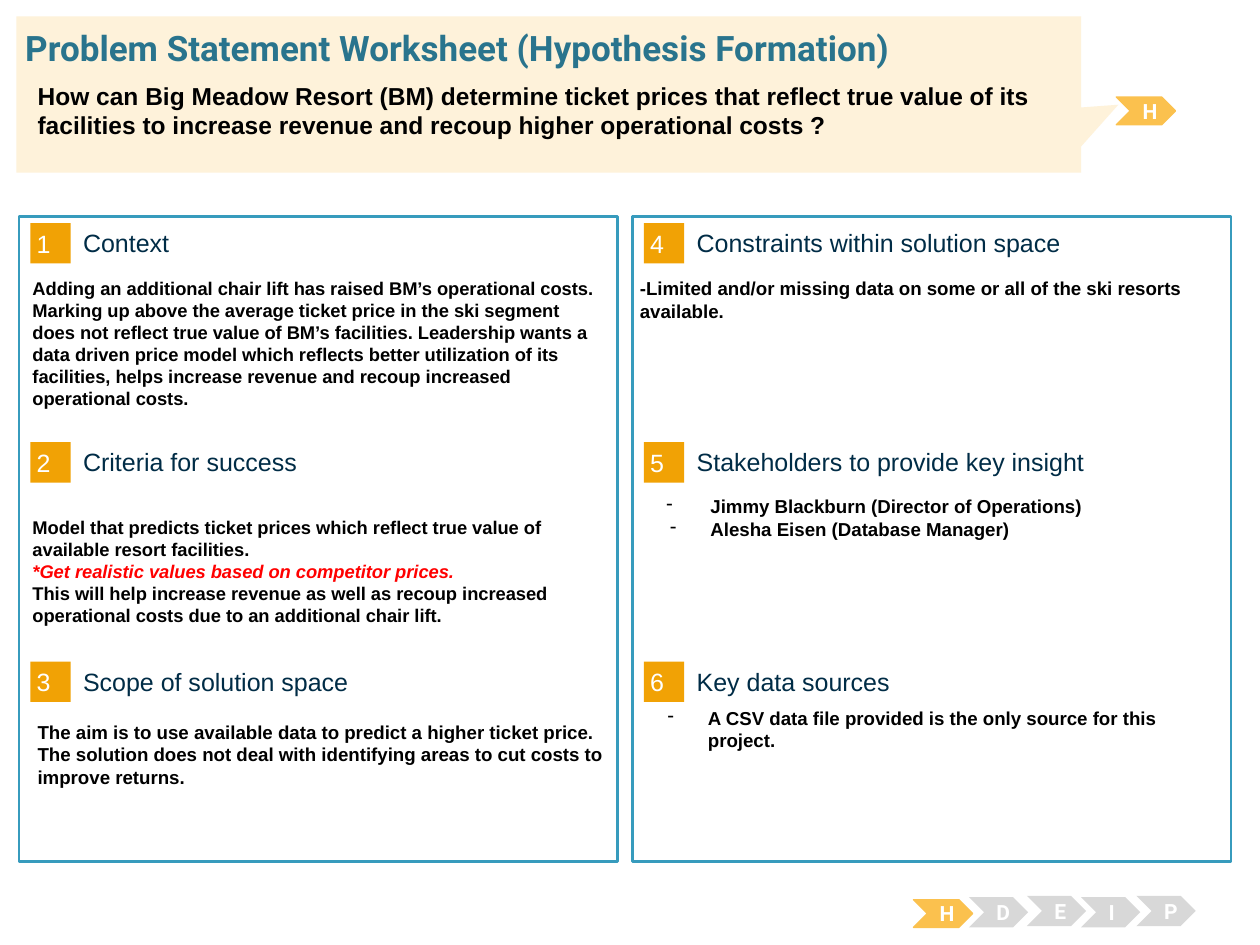
from lxml import etree
from pptx import Presentation
from pptx.dml.color import RGBColor
from pptx.enum import shapes as sh, text as tx
from pptx.oxml import ns
from pptx.util import Inches, Pt

# Content
TITLE = "Problem Statement Worksheet (Hypothesis Formation)"
QUESTION = [
    "How can Big Meadow Resort (BM) determine ticket prices that reflect true value of its",
    "facilities to increase revenue and recoup higher operational costs ?",
]
HEADS = [
    ["Context", "Criteria for success", "Scope of solution space"],
    ["Constraints within solution space", "Stakeholders to provide key insight",
     "Key data sources"],
]
ALERT = "*Get realistic values based on competitor prices."
# Each note: left, top, height, size name, hanging indents (if bulleted), paragraphs
NOTES = [
    (0.16, 2.15, 1.36, "note", [], [
        "Adding an additional chair lift has raised BM’s operational costs. Marking up above "
        "the average ticket price in the ski segment does not reflect true value of BM’s "
        "facilities. Leadership wants a data driven price model which reflects better "
        "utilization of its facilities, helps increase revenue and recoup increased "
        "operational costs."]),
    (0.16, 4.05, 1.36, "note", [], [
        "Model that predicts ticket prices which reflect true value of available resort "
        "facilities.",
        ALERT,
        "This will help increase revenue as well as recoup increased operational costs due "
        "to an additional chair lift."]),
    (0.2, 5.67, 0.82, "body", [], [
        "The aim is to use available data to predict a higher ticket price. The solution does "
        "not deal with identifying areas to cut costs to improve returns."]),
    (4.98, 2.15, 1.18, "body", [], [
        "-Limited and/or missing data on some or all of the ski resorts available."]),
    (5.04, 3.88, 1.18, "body", [0.35, 0.32], [
        "Jimmy Blackburn (Director of Operations)", "Alesha Eisen (Database Manager)"]),
    (5.02, 5.56, 1.18, "body", [0.32], [
        "A CSV data file provided is the only source for this project."]),
]
# Each step: letter, left, top, active
STEPS = [("H", 7.25, 7.14, True), ("D", 7.69, 7.12, False), ("E", 8.15, 7.11, False),
         ("I", 8.58, 7.12, False), ("P", 9.02, 7.11, False), ("H", 8.86, 0.77, True)]

THEME = {
    "color": {"white": "FFFFFF", "black": "000000", "edge": "379BBD", "badge": "F1A205",
              "head": "002C46", "alert": "FF0000", "on": "FBC14E", "off": "D8D8D8",
              "call": "FEF2DA", "title": "29748D"},
    "size": {"title": 20, "ask": 14, "head": 14.3, "step": 12, "body": 10.7, "note": 10.5},
    "font": {"main": "Arial", "show": "Roboto"},
}
PAD = (0.1, 0.05, 0.1, 0.05)


def color(name):
    return RGBColor.from_string(THEME["color"][name])


def write(shape, lines, size, tint="black", font="main", bold=False, pad=PAD,
          anchor=tx.MSO_ANCHOR.TOP, align=tx.PP_ALIGN.LEFT):
    frame = shape.text_frame
    frame.text = "\n".join(lines)
    frame.word_wrap = True
    frame.auto_size = tx.MSO_AUTO_SIZE.NONE
    frame.vertical_anchor = anchor
    (frame.margin_left, frame.margin_top,
     frame.margin_right, frame.margin_bottom) = map(Inches, pad)
    for para in frame.paragraphs:
        para.alignment = align
        para.font.name = THEME["font"][font]
        para.font.size = Pt(THEME["size"][size])
        para.font.bold = bold
        para.font.color.rgb = color(tint)
    return frame.paragraphs


def draw(kind, box, fill, line=None, width=0.75):
    shape = slide.shapes.add_shape(kind, *map(Inches, box))
    shape.shadow.inherit = False
    shape.fill.solid()
    shape.fill.fore_color.rgb = color(fill)
    if line:
        shape.line.color.rgb = color(line)
        shape.line.width = Pt(width)
    else:
        shape.line.fill.background()
    return shape


def label(box, *args, **opts):
    return write(slide.shapes.add_textbox(*map(Inches, box)), *args, **opts)


def dash(para, hang):
    props = para._p.get_or_add_pPr()
    props.set("marL", str(Inches(0.5)))
    props.set("indent", str(-Inches(hang)))
    tint = etree.SubElement(props, ns.qn("a:buClr"))
    etree.SubElement(tint, ns.qn("a:srgbClr"), val=THEME["color"]["black"])
    etree.SubElement(props, ns.qn("a:buChar"), char="-")


deck = Presentation()
deck.slide_width, deck.slide_height = Inches(10), Inches(7.5)
slide = deck.slides.add_slide(deck.slide_layouts[5])
RECT = sh.MSO_SHAPE.RECTANGLE
MID = tx.MSO_ANCHOR.MIDDLE

# Panels with numbered headings
for col, heads in enumerate(HEADS):
    left = 0.15 + col * 4.87
    draw(RECT, (left, 1.72, 4.75, 5.12), "white", "edge", 1.5)
    for row, head in enumerate(heads):
        top = 1.77 + row * 1.74
        badge = draw(RECT, (left + 0.09, top, 0.32, 0.32), "badge")
        write(badge, [str(col * 3 + row + 1)], "head", "white", pad=(0.05,) * 4, anchor=MID)
        label((left + 0.51, top + 0.03, 3.93, 0.25), [head], "head", "head",
              pad=(0,) * 4, anchor=MID)

# Notes under the headings
for left, top, high, size, hangs, lines in NOTES:
    paras = label((left, top, 4.73, high), lines, size, bold=True)
    for para, hang in zip(paras, hangs):
        dash(para, hang)
    for para in paras:
        if para.text == ALERT:
            para.font.italic = True
            para.font.color.rgb = color("alert")

# Step chevrons
for letter, left, top, active in STEPS:
    fill = "on" if active else "off"
    step = draw(sh.MSO_SHAPE.CHEVRON, (left, top, 0.47, 0.22 if active else 0.24),
                fill, fill if active else None)
    write(step, [letter], "step", "white", "show", True, anchor=MID,
          align=tx.PP_ALIGN.CENTER)

# Callout with title and question
call = draw(sh.MSO_SHAPE.RECTANGULAR_CALLOUT, (0.13, 0.13, 8.45, 1.24), "call")
call.adjustments[0], call.adjustments[1] = 0.535, 0.066
title = slide.shapes.title
title.left, title.top, title.width, title.height = map(Inches, (0.2, 0.21, 9.62, 0.34))
write(title, [TITLE], "title", "title", "show", True, (0,) * 4, MID)
call.element.addnext(title.element)
label((0.2, 0.59, 9.39, 0.54), QUESTION, "ask", bold=True)

deck.save("out.pptx")
